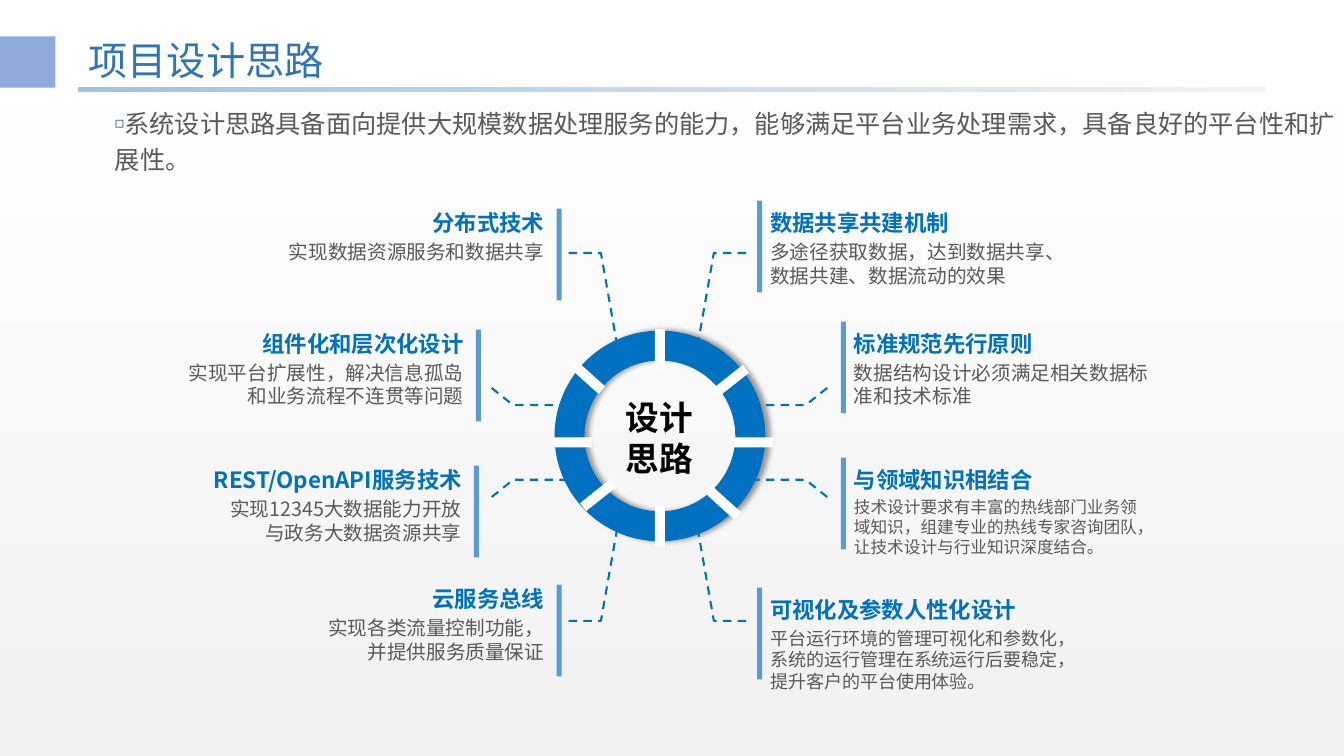
from lxml import etree
from pptx import Presentation
from pptx.dml.color import RGBColor
from pptx.enum.dml import MSO_LINE
from pptx.enum.shapes import MSO_SHAPE
from pptx.enum.text import MSO_ANCHOR, MSO_AUTO_SIZE, PP_ALIGN
from pptx.oxml.ns import qn
from pptx.util import Pt

PX = 9144  # 100 px to the inch
FONT = "Noto Sans CJK SC"
BLUE, BAR_BLUE, GREY = "0070C0", "5B9BD5", "595959"
RECT, DONUT = MSO_SHAPE.RECTANGLE, MSO_SHAPE.DONUT
LEFT, RIGHT, CENTER, JUSTIFY = PP_ALIGN.LEFT, PP_ALIGN.RIGHT, PP_ALIGN.CENTER, PP_ALIGN.JUSTIFY
TOP, MIDDLE = MSO_ANCHOR.TOP, MSO_ANCHOR.MIDDLE
NO_AUTOFIT, DASH = MSO_AUTO_SIZE.NONE, MSO_LINE.DASH

# Callouts: text edge, heading top, heading, detail, detail width, detail size
RIGHT_CALLOUTS = [
    (764, 195, "数据共享共建机制", "多途径获取数据，达到数据共享、数据共建、数据流动的效果", 293, 14),
    (847, 315, "标准规范先行原则", "数据结构设计必须满足相关数据标准和技术标准", 293, 14),
    (847, 450, "与领域知识相结合",
     "技术设计要求有丰富的热线部门业务领域知识，组建专业的热线专家咨询团队，让技术设计与行业知识深度结合。", 293, 11.9),
    (764, 579, "可视化及参数人性化设计",
     "平台运行环境的管理可视化和参数化，系统的运行管理在系统运行后要稳定，提升客户的平台使用体验。", 293, 12.9),
]
LEFT_CALLOUTS = [
    (540, 195, "分布式技术", "实现数据资源服务和数据共享", 293, 14),
    (460, 315, "组件化和层次化设计", "实现平台扩展性，解决信息孤岛和业务流程不连贯等问题", 285, 14),
    (458, 450, "REST/OpenAPI服务技术", "实现12345大数据能力开放与政务大数据资源共享", 240, 14),
    (540, 568, "云服务总线", "实现各类流量控制功能，并提供服务质量保证", 226, 14),
]
# Gaps in the ring: centre x, centre y, rotation
RING_GAPS = [
    (748, 439, 0), (568, 439, 0), (655, 346, 270), (655, 522, 90),
    (583, 374, 222.1), (718, 499, 222.1), (725, 378, 141.5), (594, 491, 141.5),
]
# Upper right leaders with the sums of mirrored x and mirrored y
LEADERS = [
    ([(740, 251), (708, 251), (692, 342)], 1304, 867),
    ([(745, 402), (799, 402), (824, 382)], 1308, 878),
]


def rgb(color):
    return RGBColor.from_string(color)


def place(shape, box):
    for side, length in zip(("left", "top", "width", "height"), box):
        setattr(shape, side, length * PX)


def gradient(fill, colors, angle):
    fill.gradient()
    fill.gradient_angle = angle
    for stop, color in zip(fill.gradient_stops, colors):
        stop.color.rgb = rgb(color)


def add_block(slide, kind, box, color=None):
    block = slide.shapes.add_shape(kind, *(length * PX for length in box))
    block.shadow.inherit = False
    block.line.fill.background()
    if color:
        block.fill.solid()
        block.fill.fore_color.rgb = rgb(color)
    return block


def write(frame, text, size, color, bold=False, align=LEFT, anchor=TOP, spacing=None, inset=None):
    layout = {"word_wrap": True, "auto_size": NO_AUTOFIT, "vertical_anchor": anchor}
    if inset is not None:
        layout.update({"margin_" + side: inset * PX for side in ("left", "top", "right", "bottom")})
    for name, value in layout.items():
        setattr(frame, name, value)
    paragraph = frame.paragraphs[0]
    for name, value in {"alignment": align, "line_spacing": spacing, "space_before": Pt(0)}.items():
        setattr(paragraph, name, value)
    run = paragraph.add_run()
    run.text = text
    run.font.color.rgb = rgb(color)
    for name, value in {"name": FONT, "size": Pt(size), "bold": bold}.items():
        setattr(run.font, name, value)
    etree.SubElement(run.font._element, qn("a:ea"), typeface=FONT)
    return paragraph


def add_text(slide, box, *words, **style):
    frame = slide.shapes.add_textbox(*(length * PX for length in box)).text_frame
    write(frame, *words, **style)


def add_square_bullet(paragraph):
    properties = paragraph._p.get_or_add_pPr()
    properties.set("marL", "0")
    properties.set("indent", str(-25 * PX))
    color = etree.SubElement(properties, qn("a:buClr"))
    etree.SubElement(color, qn("a:srgbClr"), val="1F4E79")
    etree.SubElement(properties, qn("a:buSzPct"), val="60000")
    etree.SubElement(properties, qn("a:buChar"), char="◻")


def add_header(slide, box):
    left, top, width, height = box
    add_block(slide, RECT, (left, top, 55, 51), "8FAADC")
    rule = add_block(slide, RECT, (left + 77, top + 50, width - 77, 5))
    gradient(rule.fill, ("9DC3E6", "F2F2F2"), 0)
    title = slide.shapes.title
    place(title, (left + 78, top, 1150, height))
    write(title.text_frame, "项目设计思路", 28, "2E75B6", anchor=MIDDLE, spacing=0.9)


def add_summary(slide, box):
    summary = slide.placeholders[1]
    place(summary, box)
    paragraph = write(
        summary.text_frame,
        "系统设计思路具备面向提供大规模数据处理服务的能力，能够满足平台业务处理需求，具备良好的平台性和扩展性。",
        18, GREY, align=JUSTIFY, spacing=1.2)
    add_square_bullet(paragraph)


def add_ring(slide, box):
    left, top, width, height = box
    ring = add_block(slide, DONUT, box, BLUE)
    ring.adjustments[0] = 0.142
    effects = ring._element.spPr.find(qn("a:effectLst"))
    shadow = etree.SubElement(effects, qn("a:outerShdw"), blurRad=str(Pt(4)), dist=str(Pt(3)), dir="0")
    tint = etree.SubElement(shadow, qn("a:srgbClr"), val="000000")
    etree.SubElement(tint, qn("a:alpha"), val="40000")
    for x, y, rotation in RING_GAPS:
        gap = add_block(slide, RECT, (x - 20, y - 5, 39, 10), "FFFFFF")
        gap.rotation = rotation
    add_text(slide, (left + 51, top + 61, width - 103, height - 118),
             "设计思路", 24, "000000", bold=True, align=CENTER)


def add_leader(slide, points):
    builder = slide.shapes.build_freeform(*points[0], scale=PX)
    builder.add_line_segments(points[1:], close=False)
    leader = builder.convert_to_shape()
    leader.shadow.inherit = False
    leader.fill.background()
    leader.line.color.rgb = rgb(BLUE)
    leader.line.width = Pt(1.5)
    leader.line.dash_style = DASH


def add_leaders(slide):
    for points, x_sum, y_sum in LEADERS:
        mirrored = [(x_sum - x, y) for x, y in points]
        for upper in (points, mirrored):
            add_leader(slide, upper)
            add_leader(slide, [(x, y_sum - y) for x, y in upper])


def add_callout(slide, callout, align):
    edge, top, heading, detail, width, size = callout
    on_left = align == RIGHT
    bar_left, bar_top = (edge + 12, top + 12) if on_left else (edge - 13, top + 4)
    add_block(slide, RECT, (bar_left, bar_top, 5, 91), BAR_BLUE)
    add_text(slide, (edge - 264 * on_left, top, 264, 51), heading, 16, BLUE,
             bold=True, align=align, anchor=MIDDLE, inset=0)
    add_text(slide, (edge - width * on_left, top + 43, width, 59), detail, size, GREY,
             align=align, inset=0)


def main():
    deck = Presentation()
    deck.slide_width, deck.slide_height = 1333 * PX, 750 * PX
    slide = deck.slides.add_slide(deck.slide_layouts[1])
    gradient(slide.background.fill, ("FFFFFF", "F2F2F2"), 270)

    add_header(slide, (0, 36, 1256, 53))
    add_summary(slide, (104, 96, 1230, 78))
    add_ring(slide, (550, 328, 209, 209))
    add_leaders(slide)
    for callouts, align in ((RIGHT_CALLOUTS, LEFT), (LEFT_CALLOUTS, RIGHT)):
        for callout in callouts:
            add_callout(slide, callout, align)

    deck.save("out.pptx")


if __name__ == "__main__":
    main()
